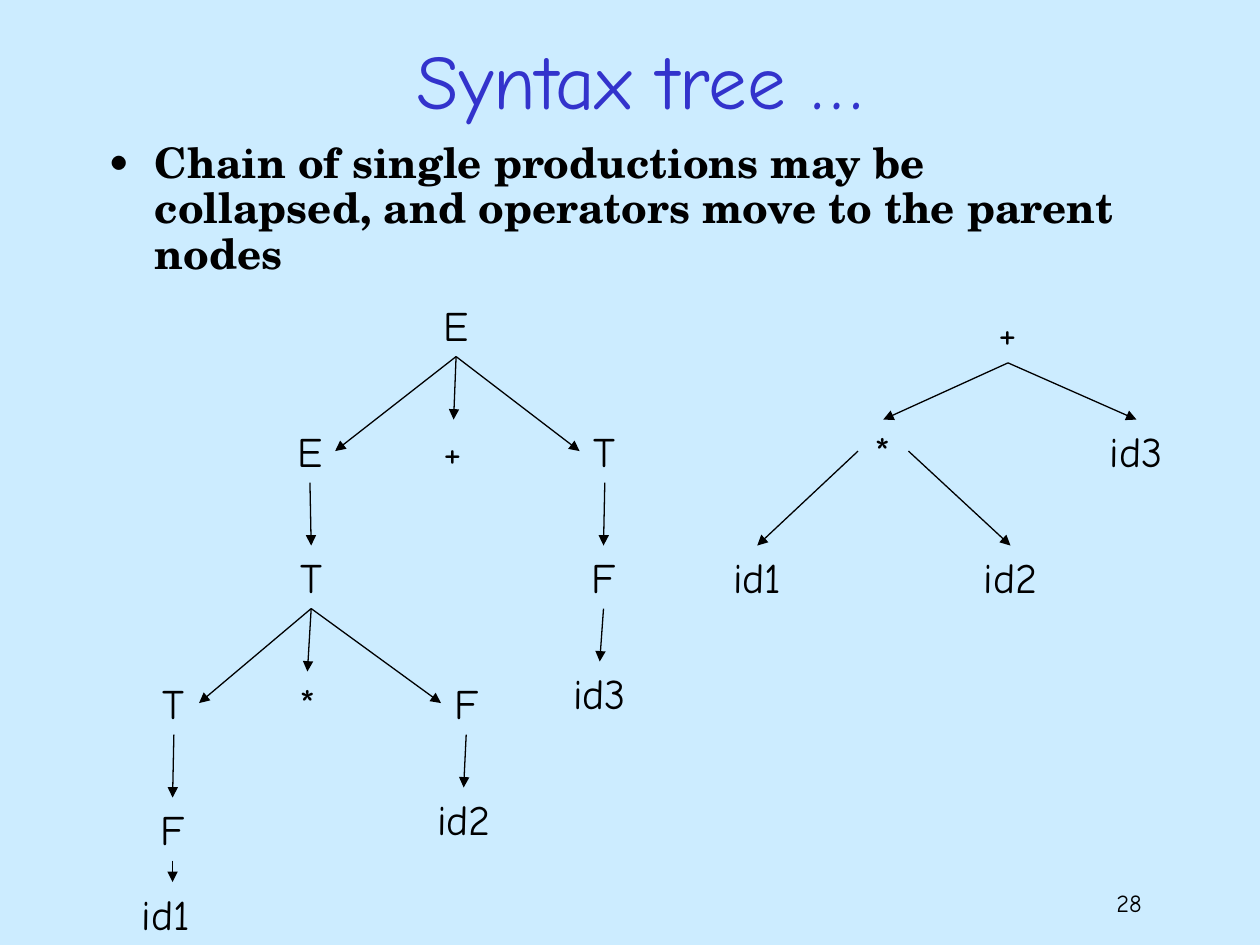
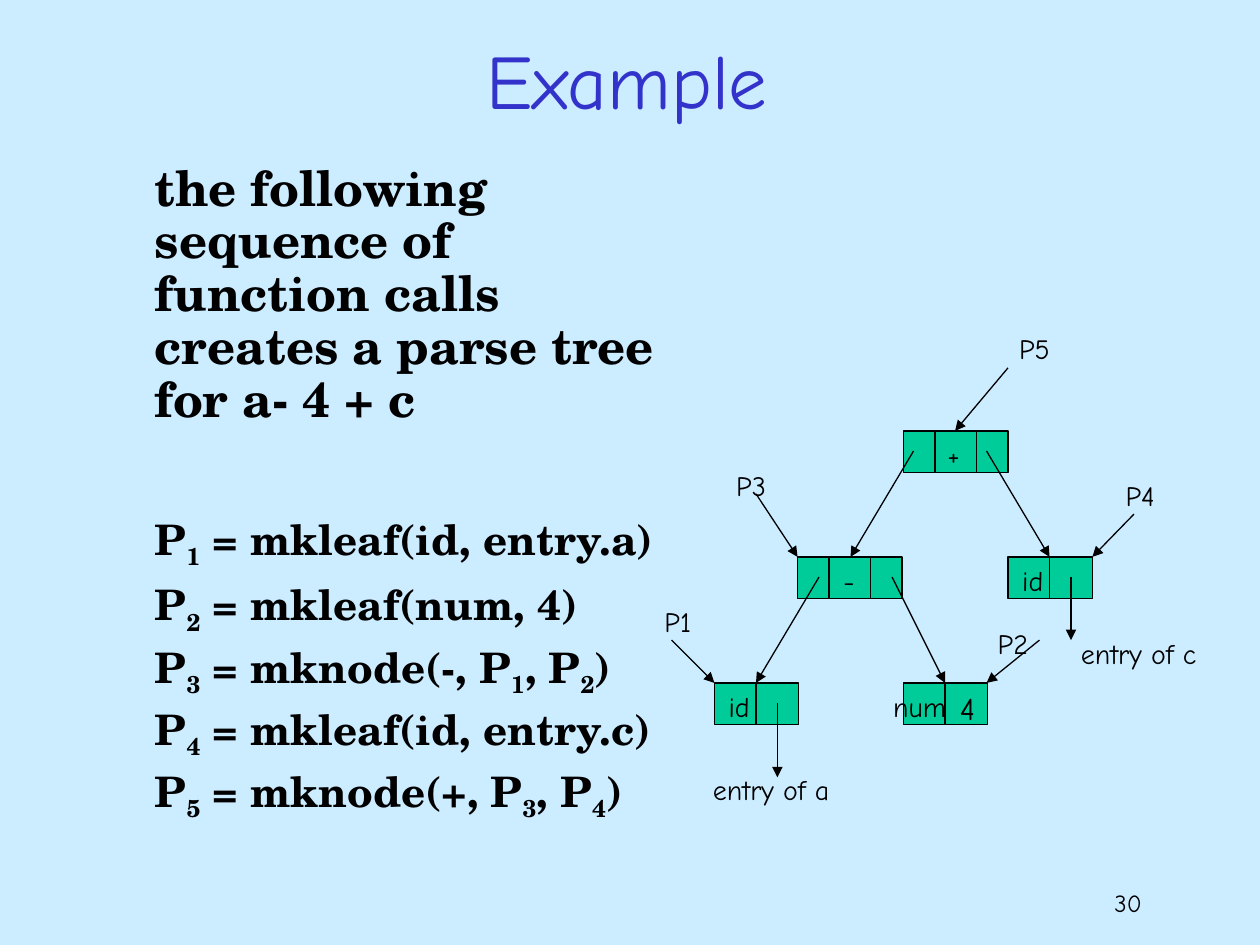
from lxml import etree
from pptx import Presentation
from pptx.dml.color import RGBColor
from pptx.enum.shapes import MSO_CONNECTOR, MSO_SHAPE
from pptx.enum.text import MSO_ANCHOR, MSO_AUTO_SIZE, PP_ALIGN
from pptx.oxml.ns import qn
from pptx.util import Inches, Pt

LINE = MSO_CONNECTOR.STRAIGHT
RECT = MSO_SHAPE.RECTANGLE
MIDDLE = MSO_ANCHOR.MIDDLE
GROW = MSO_AUTO_SIZE.SHAPE_TO_FIT_TEXT
LEFT, CENTER, RIGHT = PP_ALIGN.LEFT, PP_ALIGN.CENTER, PP_ALIGN.RIGHT

SKY, BLUE, GREEN, BLACK = "CCECFF", "3333CC", "00CC99", "000000"
HAND, SERIF = "Comic Neue", "TeX Gyre Schola"
HEIGHTS = {16: 0.37, 18: 0.4, 24: 0.5}
ROW, PAIR, TRIO = 0.33, (0.33, 0.34), (0.25, 0.33, 0.25)

NODES = {
    "E": ("E", 3.62, 2.33, 0.4),
    "E left": ("E", 2.46, 3.33, 0.4),
    "plus": ("+", 3.6, 3.33, 0.35),
    "T right": ("T", 4.8, 3.33, 0.37),
    "T mid": ("T", 2.47, 4.33, 0.37),
    "F right": ("F", 4.79, 4.33, 0.39),
    "id3": ("id3", 4.76, 5.25, 0.62),
    "T low": ("T", 1.38, 5.33, 0.37),
    "star": ("*", 2.44, 5.33, 0.33),
    "F mid": ("F", 3.7, 5.33, 0.39),
    "id2": ("id2", 3.68, 6.25, 0.62),
    "F low": ("F", 1.37, 6.33, 0.39),
    "id1": ("id1", 1.37, 7, 0.69),
    "sum": ("+", 8, 2.38, 0.35),
    "product": ("*", 7.01, 3.33, 0.33),
    "leaf3": ("id3", 9.02, 3.33, 0.62),
    "leaf1": ("id1", 6.01, 4.33, 0.58),
    "leaf2": ("id2", 8.02, 4.33, 0.62),
}
DOWN = [
    ("E", "plus"), ("T right", "F right"), ("F right", "id3"),
    ("E left", "T mid"), ("T mid", "star"), ("F mid", "id2"),
    ("T low", "F low"), ("F low", "id1"),
    ("sum", "product"), ("sum", "leaf3"),
]
SLANT = [
    ("E", "bottom", "E left", "right"),
    ("E", "bottom", "T right", "left"),
    ("T mid", "bottom", "T low", "right"),
    ("T mid", "bottom", "F mid", "left"),
    ("product", "left", "leaf1", "top"),
    ("product", "right", "leaf2", "top"),
]
PORTS = {"top": (0, 0), "bottom": (0, 0.5), "left": (-0.2, 0.25), "right": (0.2, 0.25)}

RECORDS = [
    (5.67, 5.42, PAIR), (7.17, 5.42, PAIR), (8, 4.42, PAIR),
    (6.33, 4.42, TRIO), (7.17, 3.42, TRIO),
]
LINKS = [
    ((6, 3.92), (6.33, 4.42)), ((5.33, 5.08), (5.67, 5.42)),
    ((8.25, 5.08), (7.83, 5.42)), ((9, 4.08), (8.67, 4.42)),
    ((8, 2.92), (7.58, 3.42)), ((6.5, 4.58), (6, 5.42)),
    ((7.08, 4.58), (7.5, 5.42)), ((7.25, 3.58), (6.75, 4.42)),
    ((7.83, 3.58), (8.33, 4.42)), ((6.17, 5.58), (6.17, 6.17)),
    ((8.5, 4.58), (8.5, 5.08)),
]
LABELS = [
    ("entry of c", 9.04, 5, 1.12), ("entry of a", 6.12, 6.08, 1.12),
    ("id", 5.87, 5.42, 0.37), ("id", 8.2, 4.42, 0.37),
    ("num", 7.3, 5.42, 0.62), ("-", 6.74, 4.42, 0.29),
    ("+", 7.57, 3.42, 0.3), ("P1", 5.38, 4.75, 0.41),
    ("P2", 8.04, 4.92, 0.44), ("P3", 5.96, 3.67, 0.43),
    ("P4", 9.05, 3.75, 0.43), ("P5", 8.21, 2.58, 0.44),
]
CALLS = [
    ("P_1 = mkleaf(id, entry.a)", 49),
    ("P_2 = mkleaf(num, 4)", 8),
    ("P_3 = mknode(-, P_1, P_2)", 6),
    ("P_4 = mkleaf(id, entry.c)", 6),
    ("P_5 = mknode(+, P_3, P_4)", 6),
]


def color(code):
    """Turn a hex string into a colour."""
    return RGBColor.from_string(code)


def add_run(para, text, size, face=HAND, ink=BLACK, bold=False, base=0):
    """Add one styled run, lowered if base is negative."""
    run = para.add_run()
    run.text = text
    font = run.font
    font.size, font.name, font.bold = Pt(size), face, bold
    font.color.rgb = color(ink)
    if base:
        font._element.set("baseline", str(base * 1000))


def add_box(slide, left, top, width, height, wrap=True):
    """Add a text box and return its frame."""
    box = slide.shapes.add_textbox(*map(Inches, (left, top, width, height)))
    frame = box.text_frame
    frame.word_wrap = wrap
    return frame


def add_label(slide, text, mid, top, width, size):
    """Add a short label in a box centred on mid, with spare room at right."""
    frame = add_box(slide, mid - width / 2, top, width, HEIGHTS[size], False)
    frame.auto_size = GROW
    frame.margin_right = Inches(0.04)
    para = frame.paragraphs[0]
    para.alignment = LEFT
    add_run(para, text, size)


def add_line(slide, start, end, head=True):
    """Draw a thin line, with an arrowhead at its end if asked."""
    line = slide.shapes.add_connector(LINE, *map(Inches, (*start, *end)))
    line.line.color.rgb = color(BLACK)
    line.line.width = Pt(0.75)
    if head:
        tip = etree.SubElement(line.line._get_or_add_ln(), qn("a:tailEnd"))
        tip.set("type", "triangle")
    etree.SubElement(line._element.spPr, qn("a:effectLst"))


def add_record(slide, left, top, widths):
    """Draw a green box split into cells."""
    sizes = (left, top, sum(widths), ROW)
    box = slide.shapes.add_shape(RECT, *map(Inches, sizes))
    box.shadow.inherit = False
    box.fill.solid()
    box.fill.fore_color.rgb = color(GREEN)
    box.line.color.rgb = color(BLACK)
    box.line.width = Pt(0.75)
    for width in widths[:-1]:
        left += width
        add_line(slide, (left, top), (left, top + ROW), False)


def set_body(para, gap=0, bullet=""):
    """Give a body paragraph its indent, spacing and bullet."""
    props = para._p.get_or_add_pPr()
    props.set("marL", str(Inches(0.38)))
    props.set("indent", str(Inches(-0.38) if bullet else 0))
    if bullet:
        tint = etree.SubElement(props, qn("a:buClr"))
        etree.SubElement(tint, qn("a:srgbClr")).set("val", BLACK)
        etree.SubElement(props, qn("a:buFont")).set("typeface", SERIF)
        etree.SubElement(props, qn("a:buChar")).set("char", bullet)
    para.alignment = LEFT
    para.line_spacing = 0.9
    para.space_before = Pt(gap)


def add_call(frame, text, gap):
    """Add a code line whose digits after _ are subscripts."""
    para = frame.add_paragraph()
    set_body(para, gap)
    first, *rest = text.split("_")
    add_run(para, first, 24, SERIF, bold=True)
    for part in rest:
        add_run(para, part[0], 24, SERIF, bold=True, base=-25)
        add_run(para, part[1:], 24, SERIF, bold=True)


def add_slide(deck, title, number):
    """Add a slide with its background, title and number."""
    slide = deck.slides.add_slide(deck.slide_layouts[6])
    fill = slide.background.fill
    fill.solid()
    fill.fore_color.rgb = color(SKY)
    foot = add_box(slide, 7.08, 7, 2.08, 0.5).paragraphs[0]
    foot.alignment = RIGHT
    add_run(foot, number, 14)
    frame = add_box(slide, 0.83, 0, 8.5, 1.25)
    frame.vertical_anchor = MIDDLE
    head = frame.paragraphs[0]
    head.alignment = CENTER
    add_run(head, title, 44, ink=BLUE)
    return slide


def find_port(name, side):
    """Return the point where an arrow meets a node."""
    mid, top = NODES[name][1:3]
    right, down = PORTS[side]
    return mid + right, top + down


def draw_trees(deck):
    """Build the slide with the parse tree and syntax tree."""
    slide = add_slide(deck, "Syntax tree …", "28")
    para = add_box(slide, 0.75, 1.08, 8.5, 1.17).paragraphs[0]
    set_body(para, bullet="•")
    text = ("Chain of single productions may be collapsed, "
            "and operators move to the parent nodes")
    add_run(para, text, 24, SERIF, bold=True)
    for node in NODES.values():
        add_label(slide, *node, 24)
    edges = [(start, "bottom", end, "top") for start, end in DOWN]
    for start, out, end, into in edges + SLANT:
        add_line(slide, find_port(start, out), find_port(end, into))


def draw_calls(deck):
    """Build the slide with the calls and the linked records."""
    slide = add_slide(deck, "Example ", "30")
    frame = add_box(slide, 0.75, 1.25, 4.67, 5.42)
    para = frame.paragraphs[0]
    set_body(para)
    text = ("the following sequence of function calls "
            "creates a parse tree for a- 4 + c")
    add_run(para, text, 28, SERIF, bold=True)
    for call, gap in CALLS:
        add_call(frame, call, gap)
    for record in RECORDS:
        add_record(slide, *record)
    for start, end in LINKS:
        add_line(slide, start, end)
    for label in LABELS:
        add_label(slide, *label, 16)
    add_label(slide, "4", 7.68, 5.42, 0.32, 18)


def main():
    """Build and save the deck."""
    deck = Presentation()
    deck.slide_width, deck.slide_height = Inches(10), Inches(7.5)
    draw_trees(deck)
    draw_calls(deck)
    deck.save("out.pptx")


if __name__ == "__main__":
    main()
